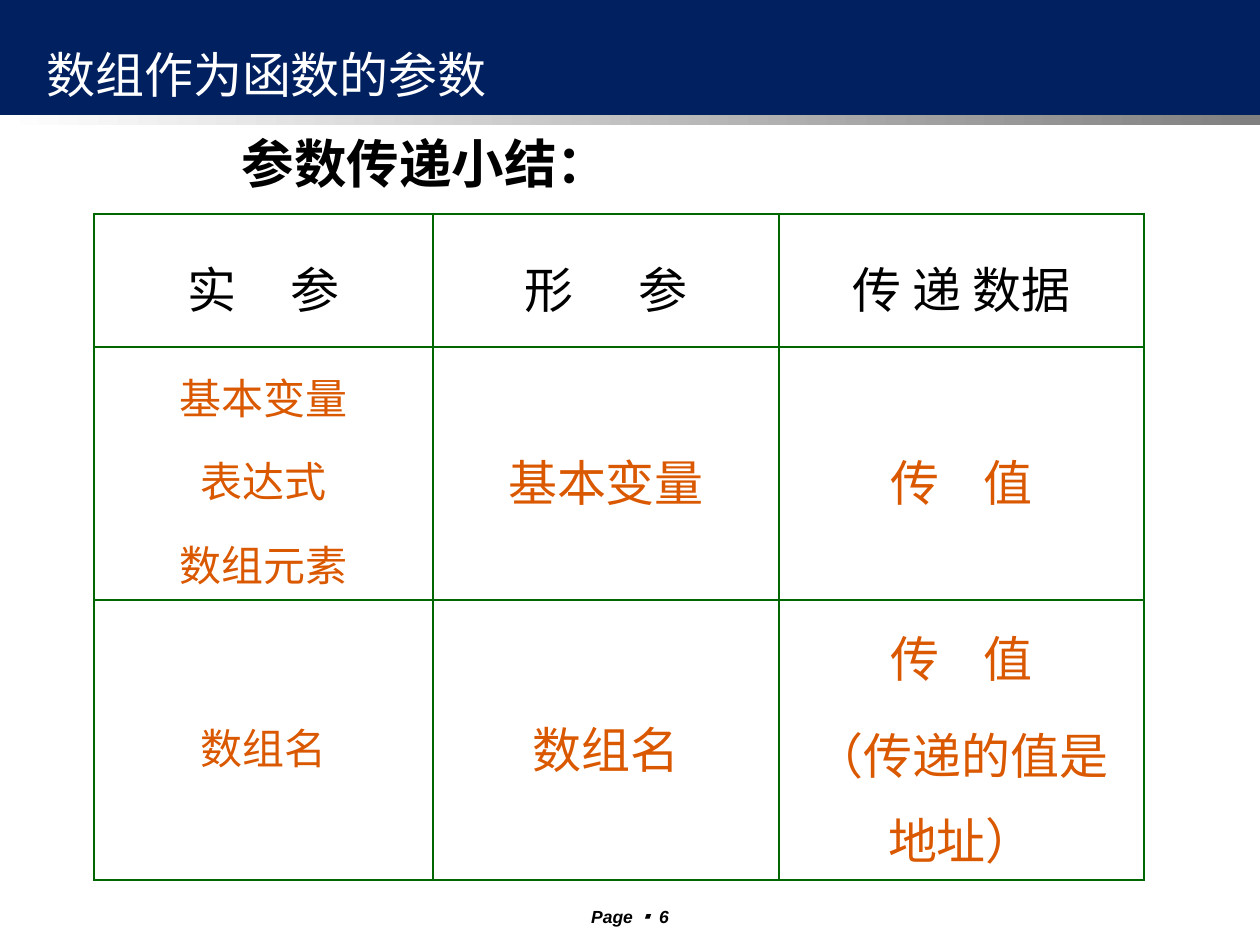
from dataclasses import dataclass

from lxml.etree import SubElement
from pptx import Presentation
from pptx.dml.color import RGBColor
from pptx.enum.shapes import MSO_SHAPE
from pptx.enum.text import MSO_ANCHOR, PP_ALIGN
from pptx.oxml.ns import qn
from pptx.util import Emu, Pt

SCALE = 914400 / 126


@dataclass(frozen=True)
class Theme:
    navy: str = "002060"
    white: str = "FFFFFF"
    gray: str = "808080"
    black: str = "000000"
    green: str = "006600"
    orange: str = "DA5800"
    sans: str = "Arial"
    mono: str = "Courier New"
    cjk: str = "Noto Sans CJK JP"
    foot: int = 10
    small: int = 24
    large: int = 28
    head: int = 30
    rule: float = 1.47


THEME = Theme()


@dataclass(frozen=True)
class Style:
    size: int
    color: str
    font: str = THEME.mono
    bold: bool = False
    slant: bool = False


@dataclass(frozen=True)
class Box:
    left: int
    top: int
    width: int
    height: int

    def emu(self) -> list[Emu]:
        return [px(n) for n in (self.left, self.top, self.width, self.height)]


@dataclass(frozen=True)
class Piece:
    text: str
    style: Style
    gap: int = 0  # extra letter spacing in points


@dataclass(frozen=True)
class Entry:
    lines: list[list[Piece]]
    before: int = 7


def px(count: int) -> Emu:
    return Emu(round(count * SCALE))


def add_run(para, piece: Piece) -> None:
    run = para.add_run()
    run.text = piece.text
    font, style = run.font, piece.style
    font.size, font.name = Pt(style.size), style.font
    font.bold, font.italic = style.bold, style.slant
    font.color.rgb = RGBColor.from_string(style.color)
    props = run._r.get_or_add_rPr()
    SubElement(props, qn("a:ea")).set("typeface", THEME.cjk)
    if piece.gap:
        props.set("spc", str(piece.gap * 100))


def add_bar(slide, box: Box):
    bar = slide.shapes.add_shape(MSO_SHAPE.RECTANGLE, *box.emu())
    bar.shadow.inherit = False
    bar.line.fill.background()
    return bar


def add_text(slide, box: Box, pieces: list[Piece], align=PP_ALIGN.CENTER,
             anchor=MSO_ANCHOR.MIDDLE) -> None:
    frame = slide.shapes.add_textbox(*box.emu()).text_frame
    frame.word_wrap = True
    frame.vertical_anchor = anchor
    para = frame.paragraphs[0]
    para.alignment = align
    for piece in pieces:
        add_run(para, piece)


def add_edges(cell) -> None:
    props = cell._tc.get_or_add_tcPr()
    for side in "LRTB":
        edge = SubElement(props, qn(f"a:ln{side}"), w=str(Pt(THEME.rule)))
        fill = SubElement(edge, qn("a:solidFill"))
        SubElement(fill, qn("a:srgbClr"), val=THEME.green)


def fill_cell(cell, entry: Entry) -> None:
    add_edges(cell)
    cell.fill.background()
    cell.vertical_anchor = MSO_ANCHOR.MIDDLE
    frame = cell.text_frame
    for n, line in enumerate(entry.lines):
        para = frame.add_paragraph() if n else frame.paragraphs[0]
        para.alignment = PP_ALIGN.CENTER
        para.line_spacing = 1.2
        if n:
            para.space_before = Pt(entry.before)
        for piece in line:
            add_run(para, piece)


def add_grid(slide, left: int, top: int, widths: list[int],
             heights: list[int], rows: list[list[Entry]]) -> None:
    box = Box(left, top, sum(widths), sum(heights))
    table = slide.shapes.add_table(len(heights), len(widths), *box.emu()).table
    table.first_row = table.horz_banding = False
    for col, width in zip(table.columns, widths):
        col.width = px(width)
    for row, height, items in zip(table.rows, heights, rows):
        row.height = px(height)
        for cell, entry in zip(row.cells, items):
            fill_cell(cell, entry)


def spread(first: str, last: str, style: Style, gap: int) -> list[Piece]:
    return [Piece(first, style), Piece(" ", style, gap), Piece(last, style)]


def plain(style: Style, *texts: str, before: int = 7) -> Entry:
    return Entry([[Piece(text, style)] for text in texts], before)


def main() -> None:
    deck = Presentation()
    deck.slide_width, deck.slide_height = px(1260), px(945)
    slide = deck.slides.add_slide(deck.slide_layouts[6])

    # Top band and fading strip
    band = add_bar(slide, Box(0, 0, 1260, 115))
    band.fill.solid()
    band.fill.fore_color.rgb = RGBColor.from_string(THEME.navy)
    strip = add_bar(slide, Box(0, 115, 1260, 10))
    strip.fill.gradient()
    strip.fill.gradient_angle = 0
    for stop, color in zip(strip.fill.gradient_stops, (THEME.white, THEME.gray)):
        stop.color.rgb = RGBColor.from_string(color)

    # Page number
    foot = Style(THEME.foot, THEME.black, THEME.sans, True, True)
    mark = Style(THEME.foot, THEME.black, THEME.cjk, True, True)
    add_text(slide, Box(531, 900, 198, 28),
             [Piece("Page ", foot), Piece("▪ ", mark), Piece("6", foot)],
             anchor=MSO_ANCHOR.TOP)

    # Headings
    head = Style(THEME.head, THEME.black, bold=True)
    add_text(slide, Box(84, 115, 683, 95), [Piece("参数传递小结：", head)])
    title = Style(THEME.large, THEME.white, THEME.cjk)
    add_text(slide, Box(34, 26, 869, 95), [Piece("数组作为函数的参数", title)],
             align=PP_ALIGN.JUSTIFY)

    # Table of argument passing, rows tall enough for their lines
    label = Style(THEME.large, THEME.black)
    large = Style(THEME.large, THEME.orange)
    small = Style(THEME.small, THEME.orange)
    value = spread("传", "值", large, 19)
    rows = [
        [Entry([spread("实", "参", label, 25)]),
         Entry([spread("形", "参", label, 31)]),
         plain(label, "传 递 数据")],
        [plain(small, "基本变量", "表达式", "数组元素", before=6),
         plain(large, "基本变量"),
         Entry([value])],
        [plain(small, "数组名"),
         plain(large, "数组名"),
         Entry([value, [Piece("（传递的值是地址）", large)]])],
    ]
    add_grid(slide, 94, 214, [339, 346, 365], [133, 253, 280], rows)

    deck.save("out.pptx")


if __name__ == "__main__":
    main()
